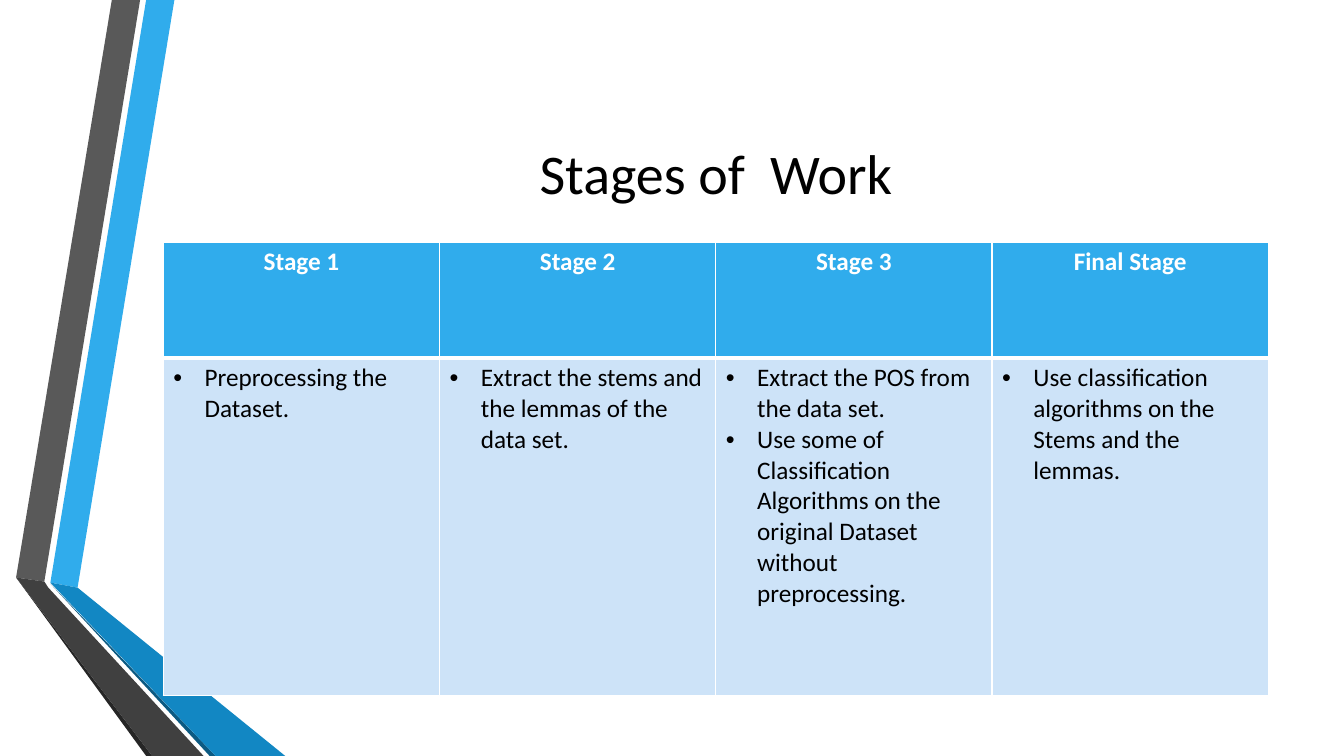
from dataclasses import dataclass

from lxml import etree
from pptx import Presentation
from pptx.dml.color import RGBColor
from pptx.enum import text as tx
from pptx.oxml import ns
from pptx.util import Inches, Pt


@dataclass(frozen=True)
class Theme:
    font: str = "Calibri"
    head: int = 40
    body: int = 18
    black: str = "000000"
    white: str = "FFFFFF"
    blue: str = "30ACEC"
    pale: str = "CDE3F8"
    deep: str = "1287C3"
    navy: str = "0C5A82"
    gray: str = "595959"
    dark: str = "404040"
    coal: str = "262626"


theme = Theme()


def style(para, size, color, bold=False):
    for run in para.runs:
        run.font.name = theme.font
        run.font.size = Pt(size)
        run.font.bold = bold
        run.font.color.rgb = RGBColor.from_string(color)


def border(cell, side, width):
    props = cell._tc.get_or_add_tcPr()
    line = etree.SubElement(props, ns.qn("a:ln" + side), w=str(Pt(width)))
    fill = etree.SubElement(line, ns.qn("a:solidFill"))
    etree.SubElement(fill, ns.qn("a:srgbClr"), val=theme.white)


prs = Presentation()
prs.slide_width, prs.slide_height = Inches(13.33), Inches(7.5)
slide = prs.slides.add_slide(prs.slide_layouts[5])

# Folded ribbons on the left
ribbons = [
    (theme.blue, [(0.5, 5.78), (0.77, 5.83), (1.73, 0), (1.45, 0)]),
    (theme.gray, [(1.39, 0), (1.11, 0), (0.16, 5.73), (0.44, 5.77)]),
    (theme.coal, [(0.16, 5.73), (1.45, 7.5), (1.51, 7.5)]),
    (theme.navy, [(0.5, 5.79), (2.08, 7.5), (2.14, 7.5)]),
    (theme.deep, [(0.5, 5.78), (2.14, 7.5), (2.83, 7.5), (0.77, 5.83)]),
    (theme.dark, [(2.02, 7.5), (0.48, 5.83), (0.44, 5.77), (0.16, 5.73), (1.51, 7.5)]),
]
for color, points in ribbons:
    spots = [(Inches(x), Inches(y)) for x, y in points]
    pen = slide.shapes.build_freeform(*spots[0])
    pen.add_line_segments(spots[1:], close=True)
    ribbon = pen.convert_to_shape()
    ribbon.shadow.inherit = False
    ribbon.fill.solid()
    ribbon.fill.fore_color.rgb = RGBColor.from_string(color)
    ribbon.line.fill.background()

# Title
title = slide.shapes.title
title.left, title.top = Inches(1.62), Inches(0.75)
title.width, title.height = Inches(10.96), Inches(1.92)
title.text_frame.text = "Stages of  Work"
title.text_frame.vertical_anchor = tx.MSO_ANCHOR.MIDDLE
title.text_frame.paragraphs[0].alignment = tx.PP_ALIGN.CENTER
style(title.text_frame.paragraphs[0], theme.head, theme.black)

# Stages table
stages = [
    ("Stage 1", ["Preprocessing the Dataset."]),
    ("Stage 2", ["Extract the stems and the lemmas of the data set."]),
    ("Stage 3", ["Extract the POS from the data set.",
                 "Use some of Classification  Algorithms on the original "
                 "Dataset without preprocessing."]),
    ("Final Stage", ["Use classification algorithms on the Stems and the lemmas."]),
]
table = slide.shapes.add_table(2, len(stages), Inches(1.62), Inches(2.4),
                               Inches(10.96), Inches(4.5)).table
table.rows[0].height, table.rows[1].height = Inches(1.15), Inches(3.35)

for col, (name, tasks) in enumerate(stages):
    table.columns[col].width = Inches(2.74)
    top, low = table.cell(0, col), table.cell(1, col)
    for cell, fill, above, below in ((top, theme.blue, 1, 3), (low, theme.pale, 3, 1)):
        for side, width in zip("LRTB", (1, 1, above, below)):
            border(cell, side, width)
        cell.fill.solid()
        cell.fill.fore_color.rgb = RGBColor.from_string(fill)

    top.text_frame.text = name
    top.text_frame.paragraphs[0].alignment = tx.PP_ALIGN.CENTER
    style(top.text_frame.paragraphs[0], theme.body, theme.white, True)

    # Bulleted tasks
    low.text_frame.text = "\n".join(tasks)
    for para in low.text_frame.paragraphs:
        style(para, theme.body, theme.black)
        props = para._p.get_or_add_pPr()
        props.set("marL", str(Inches(0.31)))
        props.set("indent", str(Inches(-0.31)))
        etree.SubElement(props, ns.qn("a:buFont"), typeface="Arial")
        etree.SubElement(props, ns.qn("a:buChar"), char="•")

prs.save("out.pptx")
